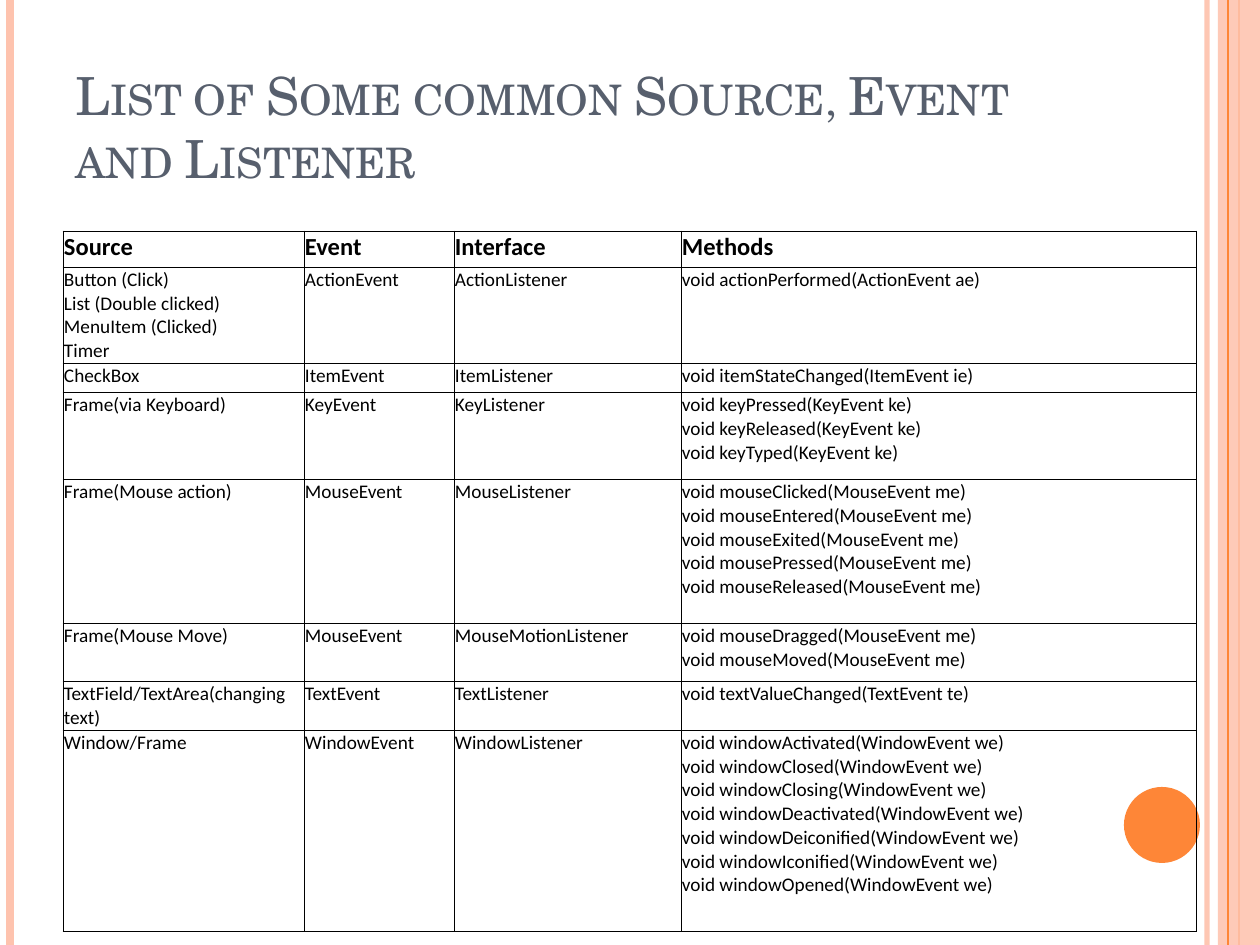
from lxml.etree import SubElement as Sub
from pptx import Presentation
from pptx.dml.color import RGBColor as Rgb
from pptx.enum.shapes import MSO_CONNECTOR as Link, MSO_SHAPE as Kind
from pptx.enum.text import MSO_ANCHOR as Anchor, PP_ALIGN as Align
from pptx.oxml.ns import qn
from pptx.util import Pt

PX = 914400 // 126
INK = {"peach": "FEC3AE", "orange": "FE8637", "slate": "575F6D", "black": "000000"}


class Page:
    """Hold the style and the current slide, and draw each kind of element."""

    head = "TeX Gyre Schola"
    body = "Calibri"

    def __init__(self, deck):
        self.slide = deck.slides.add_slide(deck.slide_layouts[5])
        self.shapes = self.slide.shapes

    def paint(self, fill, ink, alpha=100):
        fill.solid()
        fill.fore_color.rgb = Rgb.from_string(INK[ink])
        if alpha < 100:
            tone = fill.fore_color._xFill.find(qn("a:srgbClr"))
            Sub(tone, qn("a:alpha"), val=str(alpha * 1000))

    def style(self, frame, size, face, ink, bold=False):
        for para in frame.paragraphs:
            for run in para.runs:
                font = run.font
                font.size, font.name, font.bold = Pt(size), face, bold
                font.color.rgb = Rgb.from_string(INK[ink])
            for gap in para._p.findall(qn("a:br")):
                Sub(gap, qn("a:rPr"), sz=str(size * 100))

    def rule(self, x, width, ink, alpha=100):
        line = self.shapes.add_connector(Link.STRAIGHT, x * PX, 0, x * PX, 945 * PX)
        line.line.width = Pt(width)
        self.paint(line.line.fill, ink, alpha)
        Sub(line._element.spPr, qn("a:effectLst"))

    def shape(self, kind, box, ink, alpha=100):
        item = self.shapes.add_shape(kind, *(n * PX for n in box))
        item.shadow.inherit = False
        item.line.fill.background()
        self.paint(item.fill, ink, alpha)

    def title(self, text, box):
        item = self.shapes.title
        item.left, item.top, item.width, item.height = (n * PX for n in box)
        frame = item.text_frame
        frame.text = text
        frame.word_wrap = True
        frame.vertical_anchor = Anchor.BOTTOM
        para = frame.paragraphs[0]
        para.alignment = Align.LEFT
        self.style(frame, 30, self.head, "slate")
        para.runs[0].font._element.set("cap", "small")
        self.shapes._spTree.append(item._element)

    def edge(self, cell):
        props = cell._tc.get_or_add_tcPr()
        for spot, side in enumerate(("lnL", "lnR", "lnT", "lnB")):
            line = Sub(props, qn("a:" + side), w=str(Pt(0.5)))
            props.insert(spot, line)
            Sub(Sub(line, qn("a:solidFill")), qn("a:srgbClr"), val=INK["black"])

    def table(self, left, top, cols, rows, data):
        size = (len(rows), len(cols))
        box = (left, top, sum(cols), sum(rows))
        grid = self.shapes.add_table(*size, *(n * PX for n in box)).table
        grid.horz_banding = False
        for col, width in zip(grid.columns, cols):
            col.width = width * PX
        for at, (row, tall, texts) in enumerate(zip(grid.rows, rows, data)):
            row.height = tall * PX
            for cell, text in zip(row.cells, texts):
                cell.margin_left = cell.margin_right = cell.margin_top = PX
                cell.margin_bottom = 0
                cell.text_frame.text = text
                first = at == 0
                self.style(cell.text_frame, 14 if first else 11, self.body, "black", first)
                cell.fill.background()
                self.edge(cell)


def calls(kind, arg, *names):
    return "\v".join(f"void {name}({kind} {arg})" for name in names)


def mouse(*ends):
    return calls("MouseEvent", "me", *("mouse" + end for end in ends))


ROWS = [
    ("Source", "Event", "Interface", "Methods"),
    ("Button (Click)\nList (Double clicked)\nMenuItem (Clicked)\nTimer",
     "ActionEvent", "ActionListener", calls("ActionEvent", "ae", "actionPerformed")),
    ("CheckBox", "ItemEvent", "ItemListener",
     calls("ItemEvent", "ie", "itemStateChanged")),
    ("Frame(via Keyboard)", "KeyEvent", "KeyListener",
     calls("KeyEvent", "ke", "keyPressed", "keyReleased", "keyTyped")),
    ("Frame(Mouse action)", "MouseEvent", "MouseListener",
     mouse("Clicked", "Entered", "Exited", "Pressed", "Released")),
    ("Frame(Mouse Move)", "MouseEvent", "MouseMotionListener",
     mouse("Dragged", "Moved")),
    ("TextField/TextArea(changing text)", "TextEvent", "TextListener",
     calls("TextEvent", "te", "textValueChanged")),
    ("Window/Frame", "WindowEvent", "WindowListener",
     calls("WindowEvent", "we", "windowActivated", "windowClosed", "windowClosing",
           "windowDeactivated", "windowDeiconified", "windowIconified", "windowOpened")),
]

deck = Presentation()
deck.slide_width, deck.slide_height = 1260 * PX, 945 * PX
page = Page(deck)
page.rule(1207, 3, "peach", 93)
page.rule(10, 4.5, "peach")
page.rule(1239, 1.5, "orange")
page.shape(Kind.RECTANGLE, (1218, 0, 42, 945), "peach", 87)
page.rule(1228, 0.75, "orange")
page.shape(Kind.OVAL, (1124, 787, 76, 76), "orange")
page.title("List of Some common Source, Event and Listener", (63, 38, 1029, 157))
page.table(63, 231, (241, 150, 227, 516), (36, 96, 29, 87, 144, 58, 49, 202), ROWS)
deck.save("out.pptx")
